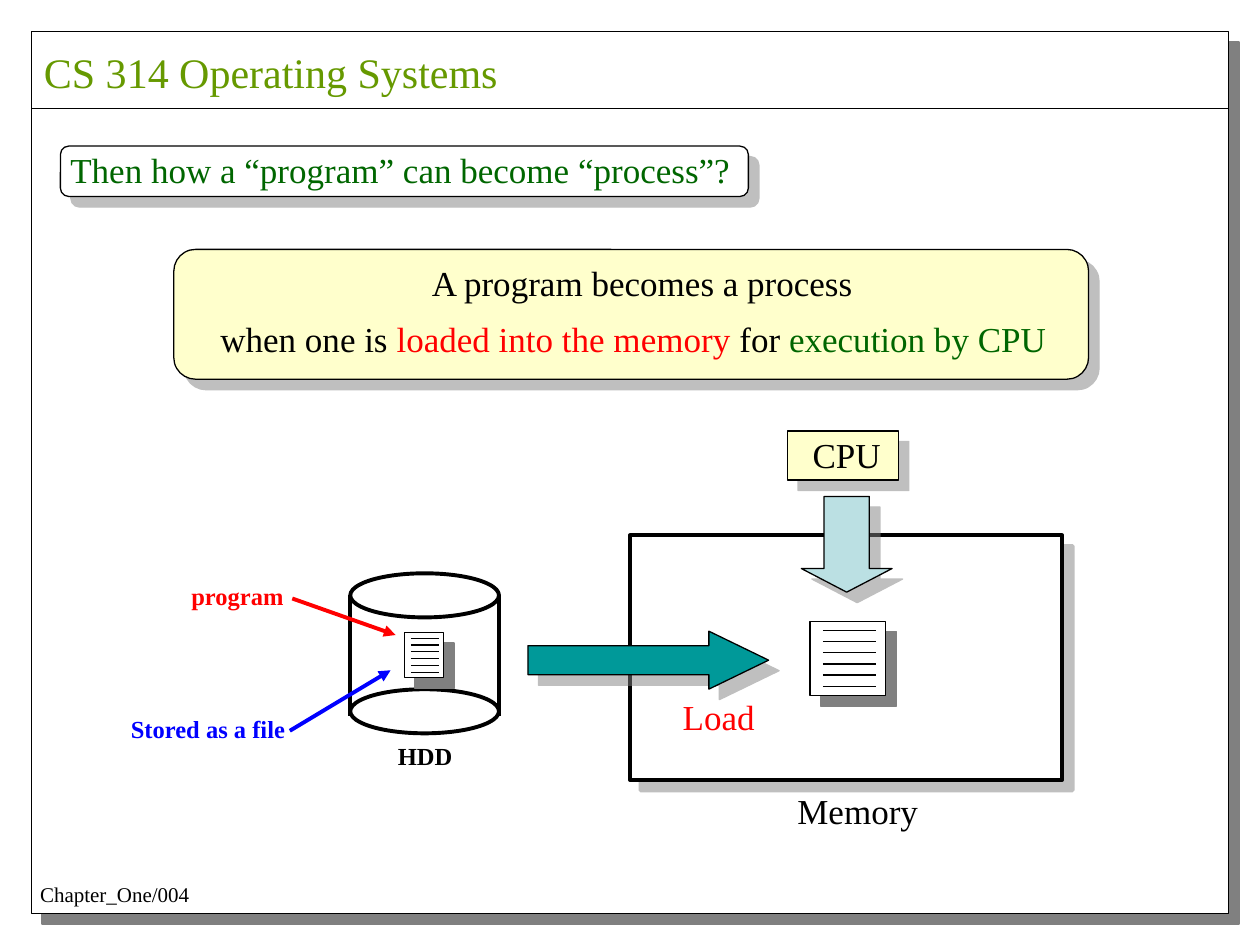
from lxml import etree
from pptx import Presentation
from pptx.dml.color import RGBColor
from pptx.enum.shapes import MSO_CONNECTOR as Connector, MSO_SHAPE as Shape
from pptx.enum.text import MSO_AUTO_SIZE as AutoSize
from pptx.oxml import parse_xml
from pptx.oxml.ns import nsdecls, qn
from pptx.util import Emu, Pt

PX = 9144  # EMU in one px, 100 px to the inch
FONT = "Times New Roman"
BLACK = RGBColor(0x00, 0x00, 0x00)
WHITE = RGBColor(0xFF, 0xFF, 0xFF)
RED = RGBColor(0xFF, 0x00, 0x00)
BLUE = RGBColor(0x00, 0x00, 0xFF)
GREEN = RGBColor(0x00, 0x66, 0x00)
OLIVE = RGBColor(0x66, 0x99, 0x00)
CREAM = RGBColor(0xFF, 0xFF, 0xCC)
PALE_BLUE = RGBColor(0xBB, 0xE0, 0xE3)
TEAL = RGBColor(0x00, 0x99, 0x99)


def px(length):
    return Emu(round(length * PX))


def add_block(slide, kind, box, fill=None, weight=0.75, shadow=None, adjust=()):
    """Outlined shape; shadow is the opacity of its hard grey shadow in percent."""
    block = slide.shapes.add_shape(kind, *map(px, box))
    for index, value in enumerate(adjust):
        block.adjustments[index] = value
    if fill is None:
        block.fill.background()
    else:
        block.fill.solid()
        block.fill.fore_color.rgb = fill
    block.line.color.rgb = BLACK
    block.line.width = Pt(weight)
    block.shadow.inherit = False
    if shadow:
        effects = block._element.spPr.find(qn("a:effectLst"))
        effects.append(parse_xml(
            f'<a:outerShdw {nsdecls("a")} dist="{Pt(8.5)}" dir="2700000" algn="ctr" '
            f'rotWithShape="0"><a:srgbClr val="808080"><a:alpha val="{shadow * 1000}"/>'
            '</a:srgbClr></a:outerShdw>'))


def add_line(slide, start, end, color=BLACK, weight=0.75, arrow=False):
    line = slide.shapes.add_connector(Connector.STRAIGHT, *map(px, (*start, *end)))
    line.line.color.rgb = color
    line.line.width = Pt(weight)
    if arrow:
        etree.SubElement(line.line._get_or_add_ln(), qn("a:tailEnd"), type="triangle")
    etree.SubElement(line._element.spPr, qn("a:effectLst"))


def add_label(slide, box, runs, size=20, bold=False):
    """Single-line label made of (text, colour) runs."""
    frame = slide.shapes.add_textbox(*map(px, box)).text_frame
    frame.word_wrap = False
    frame.auto_size = AutoSize.SHAPE_TO_FIT_TEXT
    for text, color in runs:
        run = frame.paragraphs[0].add_run()
        run.text = text
        run.font.name = FONT
        run.font.size = Pt(size)
        run.font.bold = bold
        run.font.color.rgb = color


def add_page_frame(slide, box):
    x, y, w, h = box
    add_block(slide, Shape.RECTANGLE, box, WHITE, shadow=100)
    add_line(slide, (x, y + 61), (x + w, y + 61))
    add_label(slide, (x, y + 7, 382, 50), [("CS 314 Operating Systems", OLIVE)], 24)
    add_label(slide, (x - 3, y + h - 30, 142, 30), [("Chapter_One/004", BLACK)], 12)


def add_question(slide, box):
    x, y, w, h = box
    add_block(slide, Shape.ROUNDED_RECTANGLE, box, WHITE, shadow=50, adjust=[0.167])
    add_label(slide, (x - 2, y - 3, w, h + 4),
              [("Then how a “program” can become “process”?", GREEN)])


def add_answer(slide, box):
    x, y, w, h = box
    add_block(slide, Shape.ROUNDED_RECTANGLE, box, CREAM, shadow=50, adjust=[0.167])
    add_label(slide, (x + 195, y + 5, 357, 44), [("A program becomes a process", BLACK)])
    add_label(slide, (x + 27, y + 49, 681, 44),
              [("when one is ", BLACK), ("loaded into the memory", RED),
               (" for ", BLACK), ("execution by CPU", GREEN)])


def add_document(slide, box, line_count=6):
    x, y, w, h = box
    add_block(slide, Shape.RECTANGLE, box, WHITE, shadow=100)
    step = h * 0.75 / (line_count - 1)
    for index in range(line_count):
        level = y + h / 8 + index * step
        add_line(slide, (x + w / 6, level), (x + w * 7 / 8, level))


def add_hard_disk(slide, box):
    x, y, w, h = box
    lid = 35
    # Cylinder
    for side in (x, x + w):
        add_line(slide, (side, y + lid / 2), (side, y + h - lid / 2 + 4), weight=2.25)
    for top in (y, y + h - lid):
        add_block(slide, Shape.OVAL, (x, top, w, lid), weight=2.25)
    add_label(slide, (x + 28, y + h + 1, 64, 34), [("HDD", BLACK)], 14, True)
    # Stored program file
    add_document(slide, (x + 43, y + 47, 31, 36))
    add_label(slide, (x - 136, y + 1, 94, 34), [("program", RED)], 14, True)
    add_line(slide, (x - 46, y + 20), (x + 36, y + 49), RED, 2.25, arrow=True)
    add_label(slide, (x - 184, y + 107, 145, 34), [("Stored as a file", BLUE)], 14, True)
    add_line(slide, (x - 48, y + 125), (x + 32, y + 77), BLUE, 2.25, arrow=True)


def add_memory(slide, box):
    x, y, w, h = box
    add_block(slide, Shape.RECTANGLE, box, WHITE, 2.25, 50)
    add_label(slide, (x + 123, y + h + 3, 117, 44), [("Memory", BLACK)])
    add_document(slide, (x + 143, y + 68, 60, 59))


def add_cpu(slide, box):
    x, y, w, h = box
    add_block(slide, Shape.RECTANGLE, box, CREAM, shadow=50)
    add_label(slide, (x + 10, y - 3, 75, 44), [("CPU", BLACK)])
    add_block(slide, Shape.DOWN_ARROW, (x + 11, y + h + 13, 72, 76), PALE_BLUE,
              shadow=50, adjust=[0.5, 0.26])


def add_load_arrow(slide, box):
    x, y, w, h = box
    add_block(slide, Shape.RIGHT_ARROW, box, TEAL, shadow=50, adjust=[0.5, 1.03])
    add_label(slide, (x + 113, y + h, 78, 44), [("Load", RED)])


def main():
    deck = Presentation()
    deck.slide_width, deck.slide_height = px(1000), px(750)
    slide = deck.slides.add_slide(deck.slide_layouts[6])
    add_page_frame(slide, (25, 25, 950, 700))
    add_question(slide, (48, 116, 546, 40))
    add_hard_disk(slide, (278, 455, 118, 127))
    add_memory(slide, (500, 425, 343, 194))
    add_cpu(slide, (625, 342, 88, 39))
    add_answer(slide, (138, 198, 726, 103))
    add_load_arrow(slide, (419, 501, 191, 46))
    deck.save("out.pptx")


if __name__ == "__main__":
    main()
